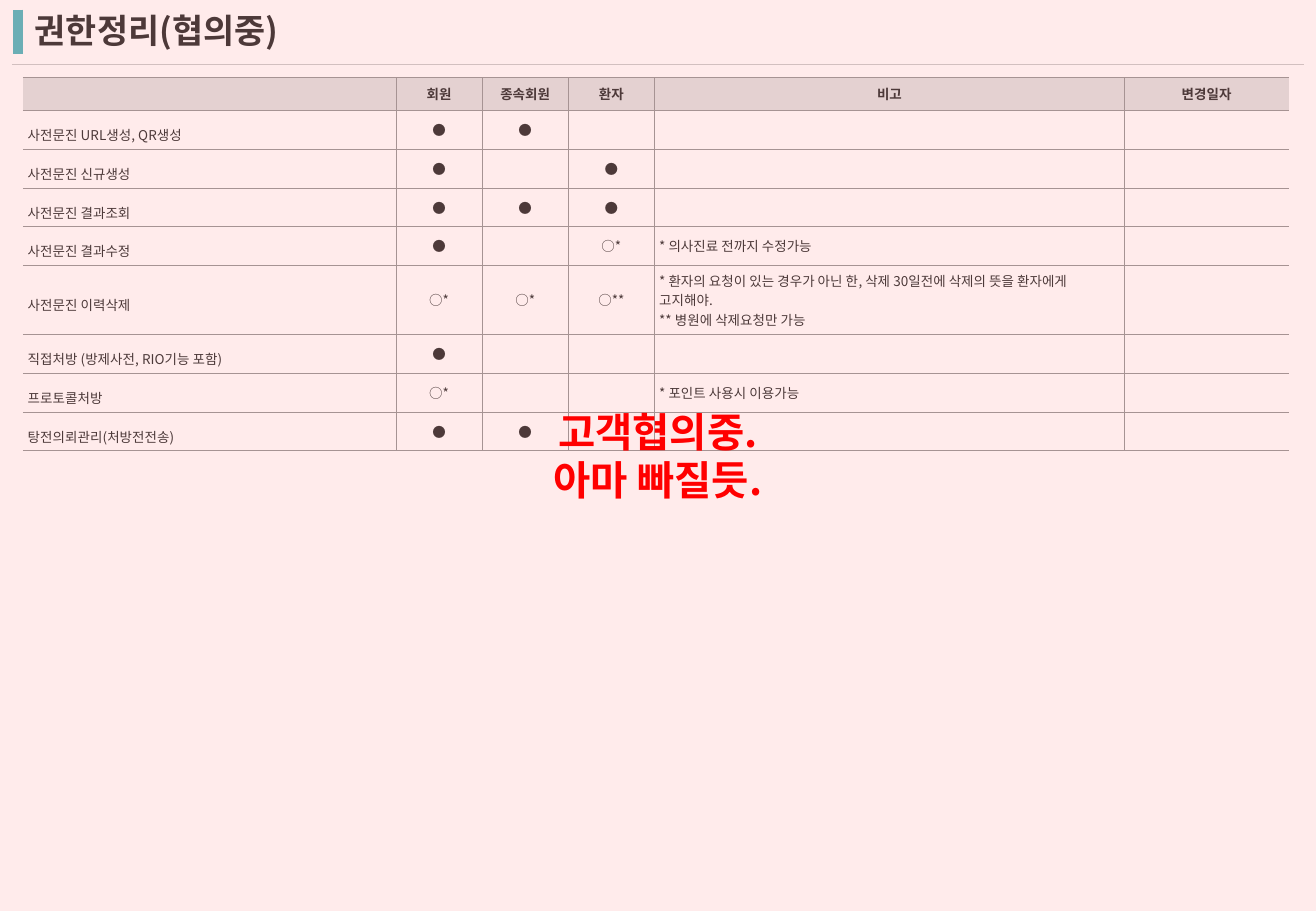
"""Build the slide that sets out who may do what in the pre-visit questionnaire."""
from lxml.etree import SubElement
from pptx import Presentation
from pptx.dml.color import RGBColor
from pptx.enum.shapes import MSO_CONNECTOR, MSO_SHAPE
from pptx.enum.text import MSO_ANCHOR, PP_ALIGN
from pptx.oxml.ns import qn
from pptx.util import Cm, Pt

FONT = "Noto Sans CJK KR"
COLORS = {
    "text": "000000",
    "accent": "2CA8B2",
    "rule": "BFBFBF",
    "border": "808080",
    "header": "D9D9D9",
    "veil": "FFBFBF",
    "alert": "FF0000",
}
HEADERS = ["", "회원", "종속회원", "환자", "비고", "변경일자"]
PERMISSIONS = [
    ["사전문진 URL생성, QR생성", "●", "●", "", "", ""],
    ["사전문진 신규생성", "●", "", "●", "", ""],
    ["사전문진 결과조회", "●", "●", "●", "", ""],
    ["사전문진 결과수정", "●", "", "○*", "* 의사진료 전까지 수정가능", ""],
    ["사전문진 이력삭제", "○*", "○*", "○**",
     "* 환자의 요청이 있는 경우가 아닌 한, 삭제 30일전에 삭제의 뜻을 환자에게 고지해야.\n"
     "** 병원에 삭제요청만 가능", ""],
    ["직접처방 (방제사전, RIO기능 포함)", "●", "", "", "", ""],
    ["프로토콜처방", "○*", "", "", "* 포인트 사용시 이용가능", ""],
    ["탕전의뢰관리(처방전전송)", "●", "●", "", "", ""],
]
COLUMN_WIDTHS = [7.8, 1.8, 1.8, 1.8, 9.83, 3.43]
ROW_HEIGHTS = [0.69] + [0.81] * 4 + [1.44] + [0.81] * 3


def format_text(frame, size, color, bold):
    """Give every run in the frame the same font."""
    for para in frame.paragraphs:
        for span in para.runs:
            span.font.size = Pt(size)
            span.font.bold = bold
            span.font.name = FONT
            span.font.color.rgb = RGBColor.from_string(COLORS[color])
            SubElement(span.font._element, qn("a:ea"), typeface=FONT)


def set_border(cell, side, visible):
    """Draw or clear one side of a table cell."""
    line = SubElement(cell._tc.get_or_add_tcPr(), qn(f"a:ln{side}"), w=str(Pt(0.25)))
    if visible:
        fill = SubElement(line, qn("a:solidFill"))
        SubElement(fill, qn("a:srgbClr"), val=COLORS["border"])
    else:
        SubElement(line, qn("a:noFill"))


deck = Presentation()
deck.slide_width, deck.slide_height = Cm(27.51), Cm(19.05)
page = deck.slides.add_slide(deck.slide_layouts[6])

for x1, y1, x2, y2, color, width in [
    (0.38, 0.2, 0.38, 1.12, "accent", 6),
    (0.25, 1.34, 27.25, 1.34, "rule", 0.5),
]:
    rule = page.shapes.add_connector(MSO_CONNECTOR.STRAIGHT, Cm(x1), Cm(y1), Cm(x2), Cm(y2))
    rule.line.color.rgb = RGBColor.from_string(COLORS[color])
    rule.line.width = Pt(width)
    SubElement(rule._element.spPr, qn("a:effectLst"))

title = page.shapes.add_textbox(Cm(0.48), Cm(0.23), Cm(23.72), Cm(0.89)).text_frame
title.word_wrap = True
title.vertical_anchor = MSO_ANCHOR.MIDDLE
title.text = "권한정리(협의중)"
title.paragraphs[0].line_spacing = 0.9
format_text(title, 20, "text", True)

rows = [HEADERS] + PERMISSIONS
grid = page.shapes.add_table(
    len(rows), len(HEADERS), Cm(0.48), Cm(1.62), Cm(sum(COLUMN_WIDTHS)), Cm(sum(ROW_HEIGHTS))
).table
grid.first_row = grid.horz_banding = False
for column, width in zip(grid.columns, COLUMN_WIDTHS):
    column.width = Cm(width)
for row, height in zip(grid.rows, ROW_HEIGHTS):
    row.height = Cm(height)

for r, values in enumerate(rows):
    for c, value in enumerate(values):
        cell = grid.cell(r, c)
        cell.margin_left = cell.margin_right = cell.margin_top = cell.margin_bottom = Cm(0.1)
        cell.vertical_anchor = MSO_ANCHOR.MIDDLE
        for side in "LRTB":
            outer = (side == "L" and c == 0) or (side == "R" and c == len(HEADERS) - 1)
            set_border(cell, side, not outer)
        if r == 0:
            cell.fill.solid()
            cell.fill.fore_color.rgb = RGBColor.from_string(COLORS["header"])
        else:
            cell.fill.background()
        cell.text_frame.text = value
        format_text(cell.text_frame, 8, "text", r == 0)
        for para in cell.text_frame.paragraphs:
            if r == 0 or c in (1, 2, 3):
                para.alignment = PP_ALIGN.CENTER
            if r > 0 and c < 4:
                para.space_before = Pt(1.6)
            if r > 0 and c == 0:
                para.line_spacing = 1.5
            if not value:
                SubElement(para._p, qn("a:endParaRPr"), sz="800")

veil = page.shapes.add_shape(MSO_SHAPE.RECTANGLE, 0, 0, deck.slide_width, deck.slide_height)
veil.shadow.inherit = False
veil.line.fill.background()
veil.fill.solid()
veil.fill.fore_color.rgb = RGBColor.from_string(COLORS["veil"])
veil_color = veil._element.spPr.find(qn("a:solidFill")).find(qn("a:srgbClr"))
SubElement(veil_color, qn("a:alpha"), val="30000")
notice = veil.text_frame
notice.margin_left = notice.margin_right = notice.margin_top = notice.margin_bottom = 0
notice.vertical_anchor = MSO_ANCHOR.MIDDLE
notice.text = "고객협의중.\n아마 빠질듯."
for para in notice.paragraphs:
    para.alignment = PP_ALIGN.CENTER
format_text(notice, 24, "alert", True)

deck.save("out.pptx")
